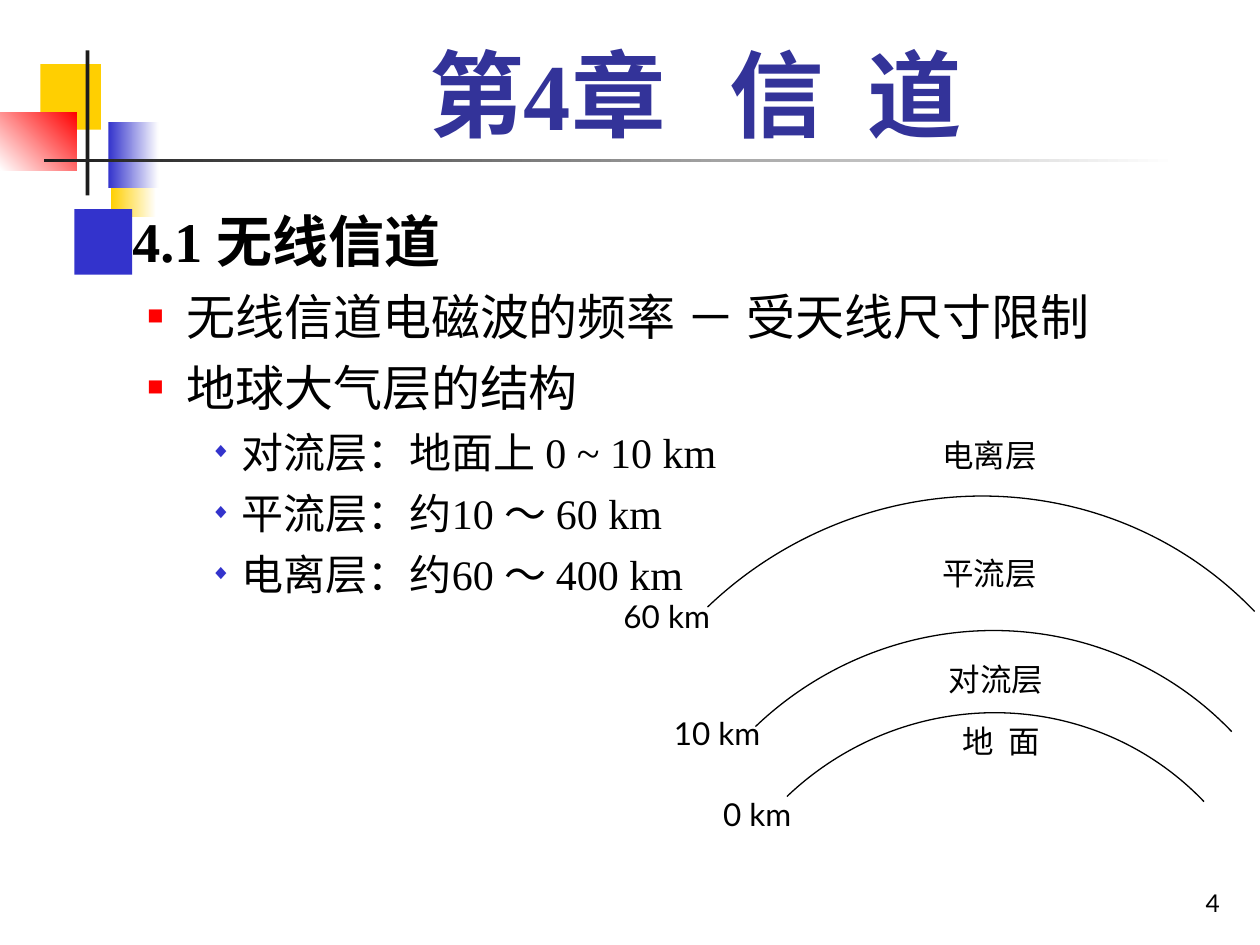
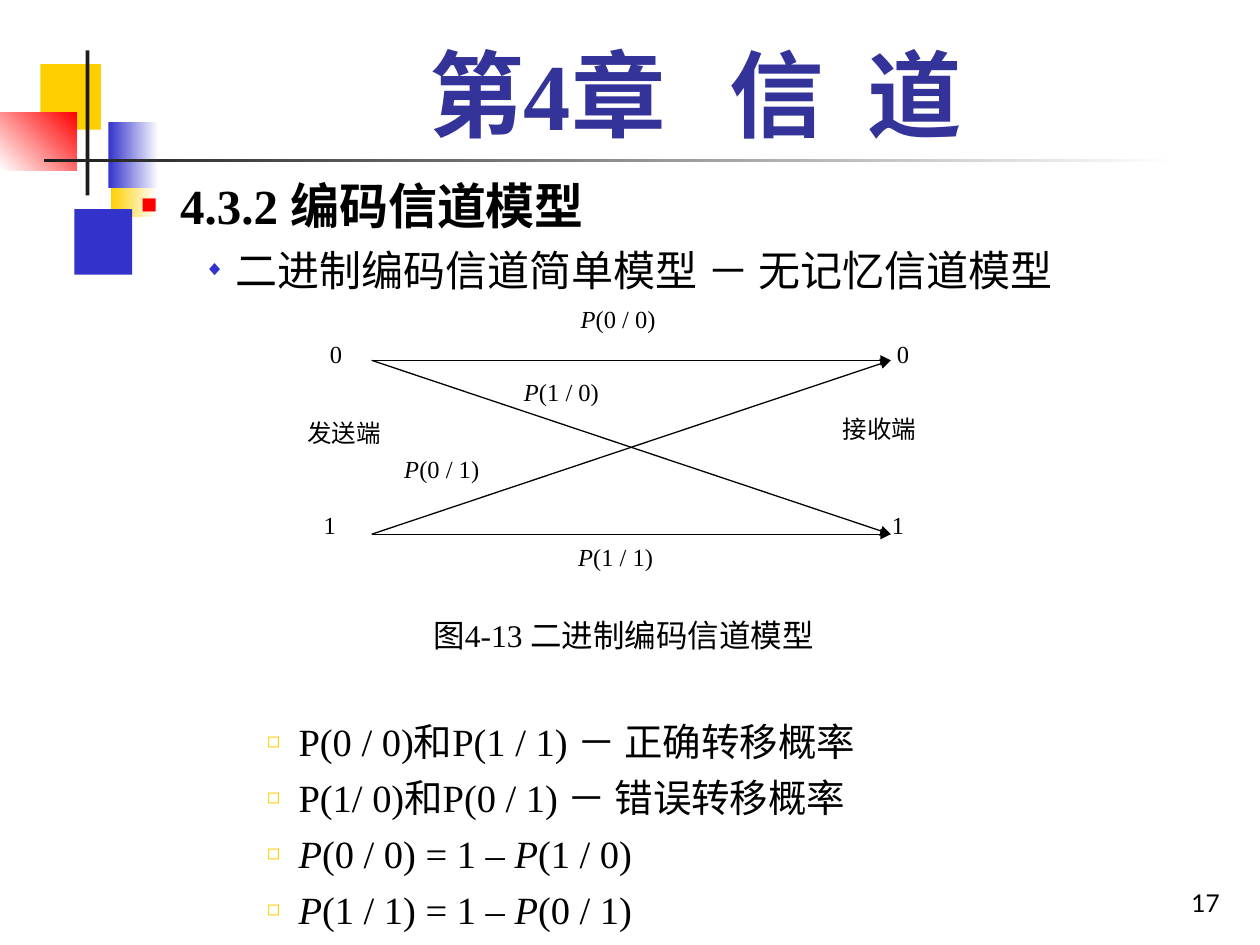
from lxml import etree
from pptx import Presentation
from pptx.dml.color import RGBColor
from pptx.enum.shapes import MSO_CONNECTOR, MSO_SHAPE
from pptx.enum.text import MSO_ANCHOR, MSO_AUTO_SIZE, PP_ALIGN
from pptx.oxml.ns import qn
from pptx.util import Inches, Pt

# Shared style
BLACK = RGBColor(0x00, 0x00, 0x00)
WHITE = RGBColor(0xFF, 0xFF, 0xFF)
INK = RGBColor(0x1C, 0x1C, 0x1C)
NAVY = RGBColor(0x33, 0x33, 0x99)
BLUE = RGBColor(0x33, 0x33, 0xCC)
YELLOW = RGBColor(0xFF, 0xCF, 0x01)
RED = RGBColor(0xFF, 0x00, 0x00)
SERIF, SANS = "Times New Roman", "Lato"

CHAPTER = "第4章   信  道"
TITLE_BOX = (1.26, 0.23, 8.52, 1.01)
NUMBER_BOX = (7.7, 6.83, 2.08, 0.5)

# Corner ornament: box, colour, fade angle (None is solid)
ORNAMENT = [
    ((0.88, 1.2, 0.36, 0.52), YELLOW, 0),
    ((0.59, 1.66, 0.46, 0.52), BLUE, None),
    ((0.32, 0.51, 0.48, 0.52), YELLOW, None),
    ((0.86, 0.97, 0.4, 0.52), BLUE, 0),
    ((0, 0.89, 0.61, 0.46), RED, 225),
    ((0.68, 0.4, 0.03, 1.15), INK, None),
    ((0.35, 1.26, 9, 0.03), INK, 0),
]

# List levels: size, space before, left margin, hanging, bullet (char, colour, percent)
LEVELS = [
    (32, 8, 0.38, 0, None),
    (28, 7, 0.81, 0.31, ("■", RED, 55)),
    (24, 6, 1.25, 0.25, ("◆", BLUE, 50)),
    (22, 5.5, 1.75, 0.25, ("◻", YELLOW, 55)),
]

# Slide content: lists hold (level, text); *...* marks italics
ATMOSPHERE = {
    "number": "4",
    "list_box": (0.57, 1.59, 9.24, 5.61),
    "list": [
        (0, "4.1 无线信道"),
        (1, "无线信道电磁波的频率 － 受天线尺寸限制"),
        (1, "地球大气层的结构"),
        (2, "对流层：地面上 0 ~ 10 km"),
        (2, "平流层：约10 ～ 60 km"),
        (2, "电离层：约60 ～ 400 km"),
    ],
}
LAYER_ARCS = [
    (4.68, 3.89, 6.05, 6.23),
    (5.18, 4.97, 5.28, 5.41),
    (5.53, 5.63, 4.63, 4.73),
]
ARC_TURN = 226.3
LAYER_NAMES = [
    ("电离层", 7.07, 3.41),
    ("平流层", 7.07, 4.35),
    ("对流层", 7.12, 5.19),
    ("地  面", 7.16, 5.68),
]
ALTITUDES = [("60 km", 4.85, 4.69), ("10 km", 5.25, 5.62), ("0 km", 5.64, 6.26)]

CODING = {
    "number": "17",
    "list_box": (0.52, 1.34, 9.29, 6.16),
    "list": [
        (1, "4.3.2 编码信道模型"),
        (2, "二进制编码信道简单模型 － 无记忆信道模型"),
        (3, "P(0 / 0)和P(1 / 1) － 正确转移概率"),
        (3, "P(1/ 0)和P(0 / 1) － 错误转移概率"),
        (3, "*P*(0 / 0) = 1 – *P*(1 / 0)"),
        (3, "*P*(1 / 1) = 1 – *P*(0 / 1)"),
    ],
    "gap_before": {2: 242},  # room for the diagram, in points
}
SEND_X, RECEIVE_X = 2.95, 7.07
ZERO_Y, ONE_Y = 2.86, 4.24
CHANNEL_LABELS = [
    ("*P*(0 / 0)", 4.51, 2.36), ("*P*(1 / 0)", 4.06, 2.94),
    ("*P*(0 / 1)", 3.11, 3.55), ("*P*(1 / 1)", 4.49, 4.25),
    ("0", 2.52, 2.64), ("0", 7.02, 2.64),
    ("1", 2.47, 4.0), ("1", 6.98, 4.0),
    ("发送端", 2.34, 3.27), ("接收端", 6.59, 3.24),
]
CAPTION = ("图4-13 二进制编码信道模型", (2.81, 4.84, 4.28, 0.61))


def place(shape, box):
    shape.left, shape.top, shape.width, shape.height = map(Inches, box)


def write(paragraph, text, size, font, color=BLACK, bold=False):
    for i, part in enumerate(text.split("*")):
        if part:
            run = paragraph.add_run()
            run.text = part
            run.font.size, run.font.name = Pt(size), font
            run.font.color.rgb = color
            run.font.bold, run.font.italic = bold, i % 2 == 1


def add_label(slide, text, box, size, font, align=PP_ALIGN.LEFT, anchor=MSO_ANCHOR.TOP):
    frame = slide.shapes.add_textbox(*map(Inches, box)).text_frame
    frame.word_wrap = True
    frame.vertical_anchor = anchor
    frame.paragraphs[0].alignment = align
    write(frame.paragraphs[0], text, size, font)


def set_bullet(paragraph, margin, hanging, bullet):
    props = paragraph._p.get_or_add_pPr()
    props.set("marL", str(Inches(margin)))
    props.set("indent", str(-Inches(hanging)))
    if bullet is None:
        etree.SubElement(props, qn("a:buNone"))
        return
    char, color, percent = bullet
    tint = etree.SubElement(props, qn("a:buClr"))
    etree.SubElement(tint, qn("a:srgbClr"), val=str(color))
    etree.SubElement(props, qn("a:buSzPct"), val=str(percent * 1000))
    etree.SubElement(props, qn("a:buFont"), typeface=SERIF)
    etree.SubElement(props, qn("a:buChar"), char=char)


def fill_list(body, content):
    place(body, content["list_box"])
    frame = body.text_frame
    frame.auto_size = MSO_AUTO_SIZE.NONE
    gaps = content.get("gap_before", {})
    for i, (level, text) in enumerate(content["list"]):
        paragraph = frame.add_paragraph() if i else frame.paragraphs[0]
        size, before, margin, hanging, bullet = LEVELS[level]
        paragraph.level = level
        set_bullet(paragraph, margin, hanging, bullet)
        paragraph.space_before = Pt(gaps.get(i, before) if i else 0)
        write(paragraph, text, size, SERIF, bold=i == 0)


def add_ornament(slide, master):
    """Draw the ornament and move it to the back of the master."""
    for i, (box, color, angle) in enumerate(ORNAMENT):
        block = slide.shapes.add_shape(MSO_SHAPE.RECTANGLE, *map(Inches, box))
        block.shadow.inherit = False
        block.line.fill.background()
        if angle is None:
            block.fill.solid()
            block.fill.fore_color.rgb = color
        else:
            block.fill.gradient()
            block.fill.gradient_angle = angle
            for stop, shade in zip(block.fill.gradient_stops, (color, WHITE)):
                stop.color.rgb = shade
        master.shapes.element.insert(2 + i, block.element)


def add_chapter_slide(prs, content):
    slide = prs.slides.add_slide(prs.slide_layouts[1])
    title, body = slide.placeholders
    place(title, TITLE_BOX)
    frame = title.text_frame
    frame.auto_size = MSO_AUTO_SIZE.NONE
    frame.vertical_anchor = MSO_ANCHOR.BOTTOM
    frame.paragraphs[0].alignment = PP_ALIGN.CENTER
    write(frame.paragraphs[0], CHAPTER, 54, SERIF, NAVY, bold=True)
    fill_list(body, content)
    add_label(slide, content["number"], NUMBER_BOX, 14, SANS,
              PP_ALIGN.RIGHT, MSO_ANCHOR.BOTTOM)
    return slide


def draw_atmosphere(slide):
    for box in LAYER_ARCS:
        arc = slide.shapes.add_shape(MSO_SHAPE.ARC, *map(Inches, box))
        arc.adjustments[0] = 0
        arc.adjustments[1] = 54  # 90 degrees
        arc.rotation = ARC_TURN
        arc.shadow.inherit = False
        arc.fill.background()
        arc.line.color.rgb = BLACK
        arc.line.width = Pt(0.75)
    for name, x, y in LAYER_NAMES:
        add_label(slide, name, (x, y, 1.57, 0.4), 18, SANS, PP_ALIGN.CENTER)
    for altitude, x, y in ALTITUDES:
        add_label(slide, altitude, (x, y, 0.94, 0.4), 18, SANS)


def draw_channel(slide):
    for sent in (ZERO_Y, ONE_Y):
        for received in (ZERO_Y, ONE_Y):
            arrow = slide.shapes.add_connector(
                MSO_CONNECTOR.STRAIGHT,
                *map(Inches, (SEND_X, sent, RECEIVE_X, received)))
            arrow.line.color.rgb = BLACK
            arrow.line.width = Pt(0.75)
            etree.SubElement(arrow.line._get_or_add_ln(), qn("a:tailEnd"), type="triangle")
            etree.SubElement(arrow.element.spPr, qn("a:effectLst"))
    for text, x, y in CHANNEL_LABELS:
        add_label(slide, text, (x, y, 1.09, 0.42), 14, SERIF)
    caption, box = CAPTION
    add_label(slide, caption, box, 18, SERIF, PP_ALIGN.CENTER)


def main():
    prs = Presentation()
    prs.slide_width, prs.slide_height = Inches(10), Inches(7.5)
    atmosphere = add_chapter_slide(prs, ATMOSPHERE)
    add_ornament(atmosphere, prs.slide_master)
    draw_atmosphere(atmosphere)
    draw_channel(add_chapter_slide(prs, CODING))
    prs.save("out.pptx")


if __name__ == "__main__":
    main()
